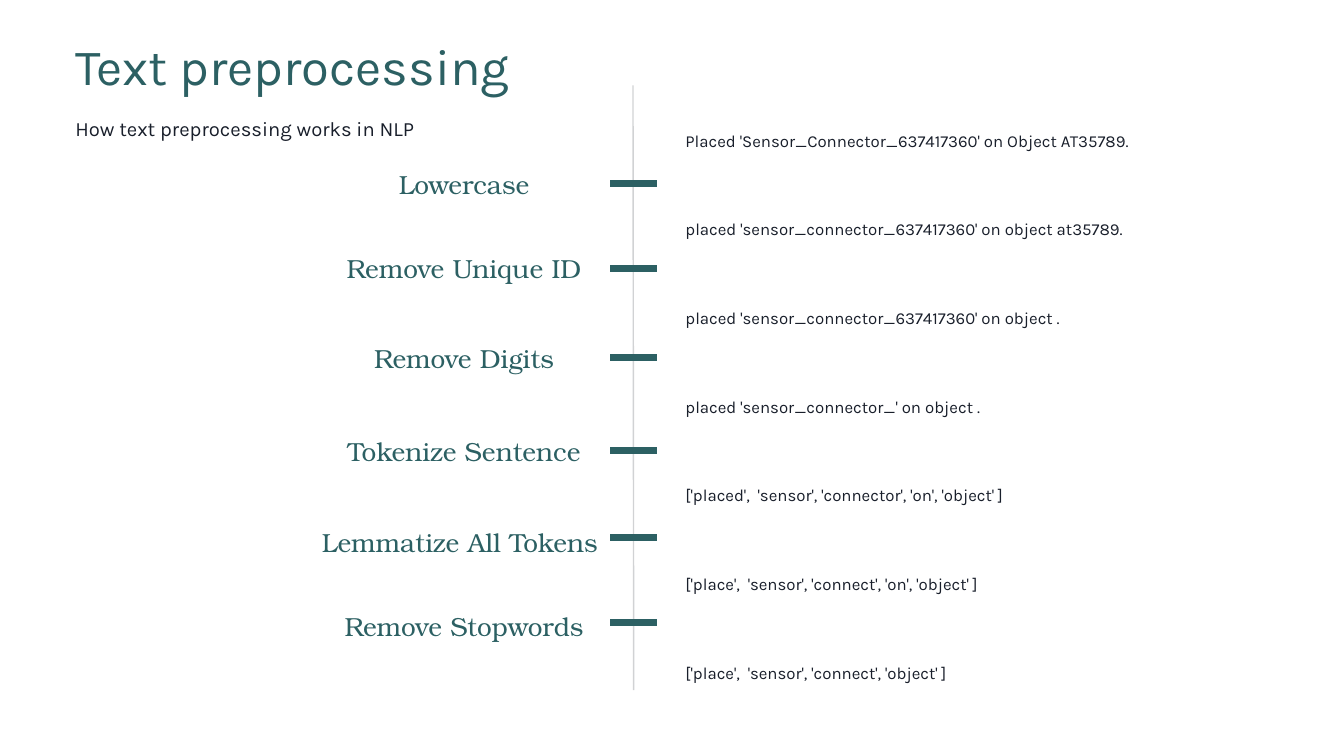
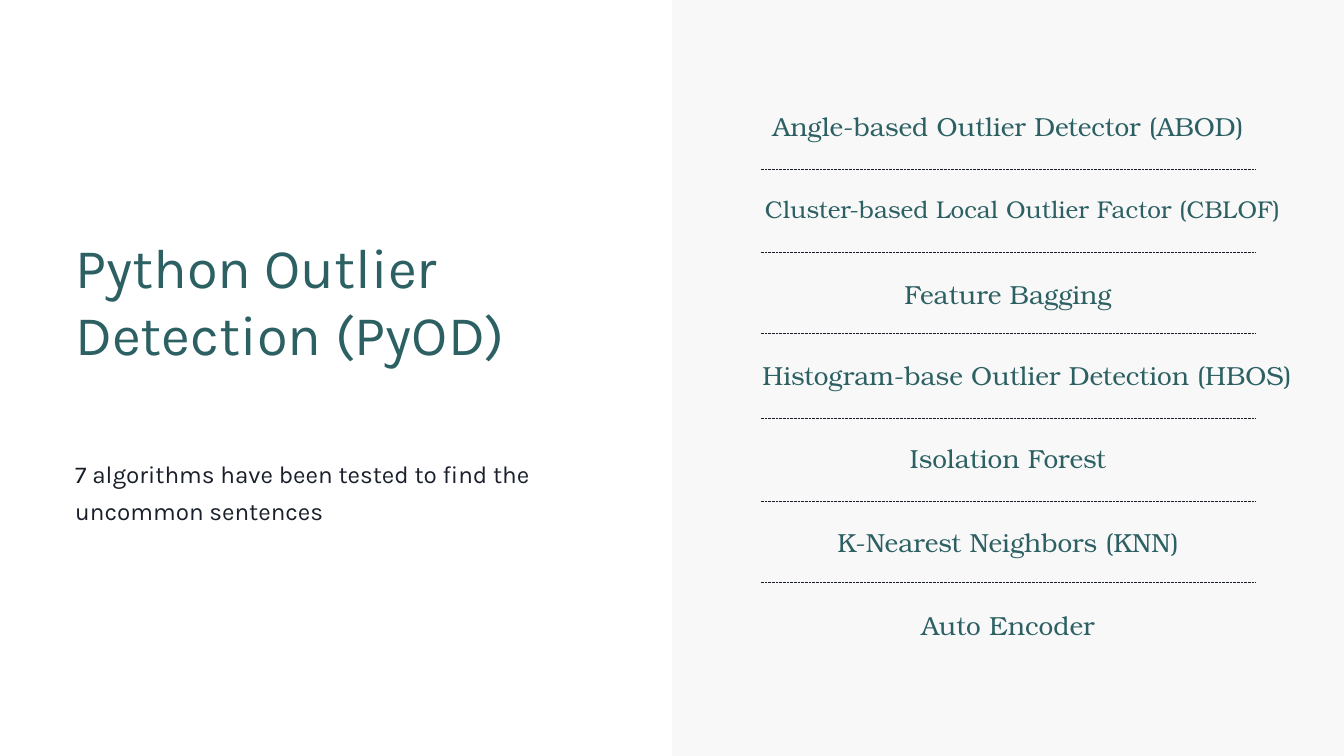
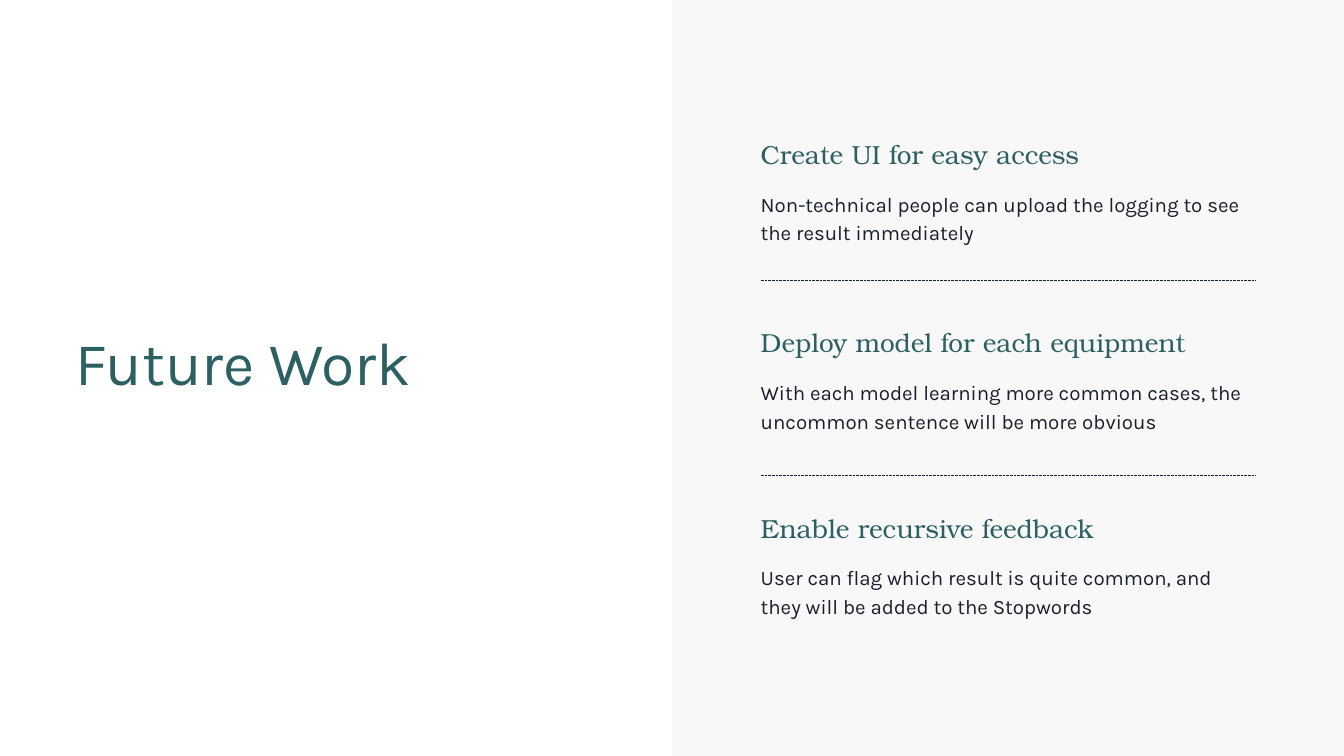
from lxml import etree
from pptx import Presentation
from pptx.dml.color import RGBColor
from pptx.enum.dml import MSO_LINE
from pptx.enum.shapes import MSO_CONNECTOR, MSO_SHAPE
from pptx.enum.text import MSO_AUTO_SIZE, PP_ALIGN
from pptx.oxml.ns import qn
from pptx.util import Emu, Pt

STRAIGHT = MSO_CONNECTOR.STRAIGHT
RECT = MSO_SHAPE.RECTANGLE
DOTTED = MSO_LINE.ROUND_DOT
LEFT, CENTER = PP_ALIGN.LEFT, PP_ALIGN.CENTER
GROW = MSO_AUTO_SIZE.SHAPE_TO_FIT_TEXT

TEAL = RGBColor(0x2C, 0x60, 0x63)
INK = RGBColor(0x19, 0x1F, 0x2B)
PANEL = RGBColor(0xF8, 0xF8, 0xF8)
WHITE = RGBColor(0xFF, 0xFF, 0xFF)
SANS, SERIF = "Karla", "TeX Gyre Bonum"

PX = 9144  # 100 px to the inch
WIDTH, HEIGHT = 2000, 1125
MARGIN = 112
COLUMN_X, COLUMN_W = 1132, 736

# Step name, label top, tick height on the axis
STEPS = [
    ("Lowercase", 250, 273),
    ("Remove Unique ID", 376, 399),
    ("Remove Digits", 509, 532),
    ("Tokenize Sentence", 648, 671),
    ("Lemmatize All Tokens ", 783, 800),
    ("Remove Stopwords", 909, 927),
]
RESULTS = [
    "Placed 'Sensor_Connector_637417360' on Object AT35789.",
    "placed 'sensor_connector_637417360' on object at35789.",
    "placed 'sensor_connector_637417360' on object .",
    "placed 'sensor_connector_' on object .",
    "['placed',  'sensor', 'connector', 'on', 'object' ]",
    "['place',  'sensor', 'connect', 'on', 'object' ]",
    "['place',  'sensor', 'connect', 'object' ]",
]
RESULT_TOP, RESULT_STEP = 189, 132

# Name, top, box width, font size
ALGORITHMS = [
    ("Angle-based Outlier Detector (ABOD)", 165, COLUMN_W, 28),
    ("Cluster-based Local Outlier Factor (CBLOF)", 289, 780, 26),
    ("Feature Bagging", 414, COLUMN_W, 28),
    ("Histogram-base Outlier Detection (HBOS)", 535, 792, 28),
    ("Isolation Forest", 659, COLUMN_W, 28),
    ("K-Nearest Neighbors (KNN)", 784, COLUMN_W, 28),
    ("Auto Encoder", 907, COLUMN_W, 28),
]
ALGORITHM_RULES = [252, 376, 496, 622, 746, 866]

# Heading, detail, heading top
PLANS = [
    ("Create UI for easy access",
     "Non-technical people can upload the logging to see the result immediately", 206),
    ("Deploy model for each equipment",
     "With each model learning more common cases, the uncommon sentence will be more obvious", 486),
    ("Enable recursive feedback",
     "User can flag which result is quite common, and they will be added to the Stopwords", 762),
]
PLAN_RULES = [417, 707]


def px(*lengths):
    return [Emu(n * PX) for n in lengths]


def add_text(s, text, box, size, spacing, color=INK, font=SANS, align=LEFT):
    tf = s.shapes.add_textbox(*px(*box)).text_frame
    tf.margin_left = tf.margin_top = tf.margin_right = tf.margin_bottom = 0
    tf.word_wrap = True
    tf.auto_size = GROW
    p = tf.paragraphs[0]
    p.text = text
    p.alignment = align
    p.line_spacing = Pt(spacing)
    p.font.size = Pt(size)
    p.font.name = font
    p.font.color.rgb = color


def add_title(s, text, box, size):
    add_text(s, text, box, size, round(size * 1.2, 1), TEAL)


def add_label(s, text, x, y, w, size=28, align=CENTER):
    add_text(s, text, (x, y, w, 46), size, round(size * 1.2, 1), TEAL, SERIF, align)


def add_line(s, ends, color, width):
    line = s.shapes.add_connector(STRAIGHT, *px(*ends))
    line.line.color.rgb = color
    line.line.width = Pt(width)
    etree.SubElement(line._element.spPr, qn("a:effectLst"))
    return line


def add_rules(s, heights):
    """Dotted separators across the right-hand column."""
    for y in heights:
        rule = add_line(s, (COLUMN_X, y, COLUMN_X + COLUMN_W, y), INK, 0.75)
        rule.line.dash_style = DOTTED


def add_slide(prs, panel=True):
    s = prs.slides.add_slide(prs.slide_layouts[6])
    s.background.fill.solid()
    s.background.fill.fore_color.rgb = WHITE
    if panel:
        half = s.shapes.add_shape(RECT, *px(WIDTH // 2, 0, WIDTH // 2, HEIGHT))
        half.shadow.inherit = False
        half.fill.solid()
        half.fill.fore_color.rgb = PANEL
        half.line.fill.background()
    return s


def preprocessing_slide(prs):
    s = add_slide(prs, panel=False)
    axis = add_line(s, (942, 127, 943, 1027), INK, 1.5)
    axis_color = axis._element.spPr.find(".//" + qn("a:srgbClr"))
    etree.SubElement(axis_color, qn("a:alpha"), val="20000")
    for name, top, tick in STEPS:
        add_line(s, (908, tick, 977, tick), TEAL, 7.5)
        add_label(s, name, 473, top, 435)
    for i, result in enumerate(RESULTS):
        add_text(s, result, (1020, RESULT_TOP + i * RESULT_STEP, 738, 34), 18, 25.2)
    add_title(s, "Text preprocessing", (MARGIN, 51, 721, 91), 54.4)
    add_text(s, "How text preprocessing works in NLP", (MARGIN, 164, 721, 42), 21.7, 32.6)


def algorithms_slide(prs):
    s = add_slide(prs)
    add_title(s, "Python Outlier Detection (PyOD)", (MARGIN, 346, 680, 301), 60)
    add_text(s, "7 algorithms have been tested to find the uncommon sentences",
             (MARGIN, 673, 680, 105), 26, 39)
    for name, top, width, size in ALGORITHMS:
        add_label(s, name, COLUMN_X, top, width, size)
    add_rules(s, ALGORITHM_RULES)


def future_slide(prs):
    s = add_slide(prs)
    add_title(s, "Future Work", (MARGIN, 483, 645, 110), 65)
    for heading, detail, top in PLANS:
        add_label(s, heading, COLUMN_X, top, COLUMN_W, align=LEFT)
        add_text(s, detail, (COLUMN_X, top + 73, COLUMN_W, 84), 22, 30.8)
    add_rules(s, PLAN_RULES)


def main():
    prs = Presentation()
    prs.slide_width, prs.slide_height = px(WIDTH, HEIGHT)
    preprocessing_slide(prs)
    algorithms_slide(prs)
    future_slide(prs)
    prs.save("out.pptx")


if __name__ == "__main__":
    main()
